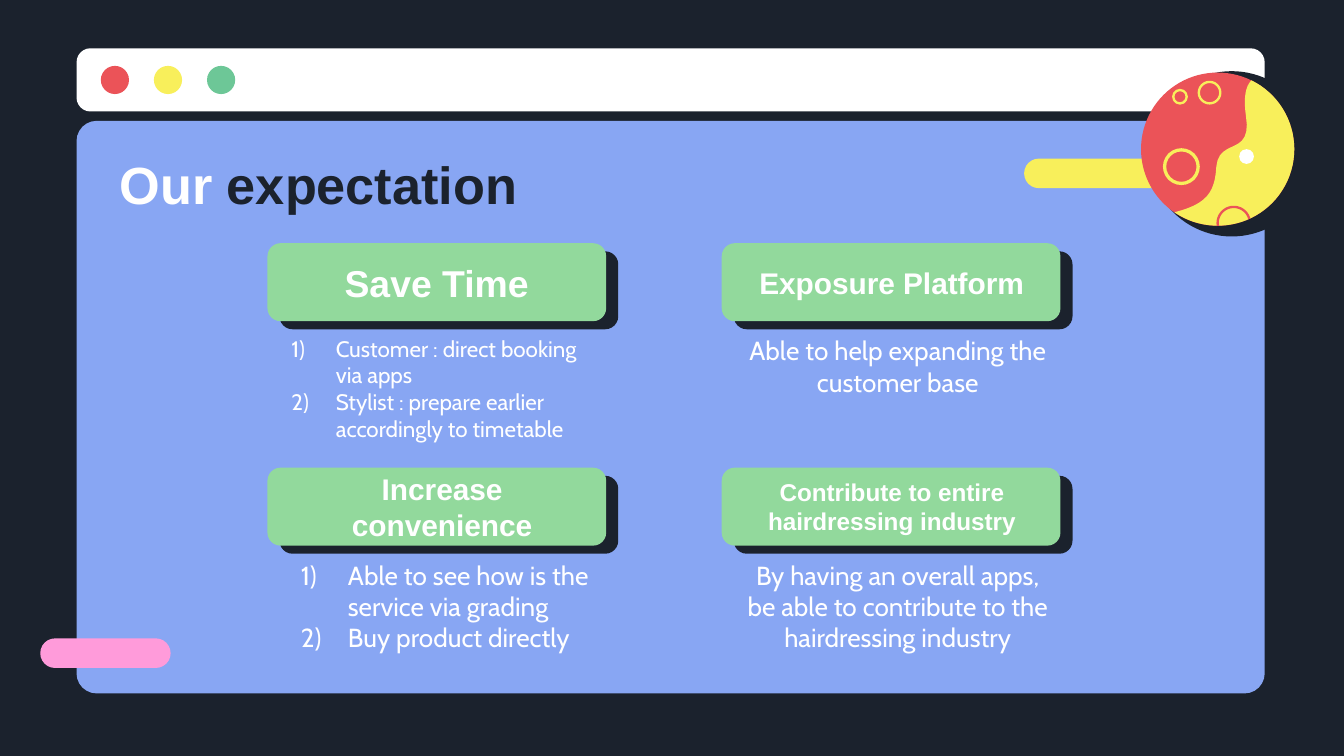
import math

import pptx
import pptx.dml.color
import pptx.enum.shapes
import pptx.enum.text
import pptx.oxml.ns
import pptx.util
from lxml import etree

Inches = pptx.util.Inches
Pt = pptx.util.Pt
SHAPE = pptx.enum.shapes.MSO_SHAPE
ALIGN = pptx.enum.text.PP_ALIGN
ANCHOR = pptx.enum.text.MSO_ANCHOR


class Theme:
    navy, white, blue, green = "1B222D", "FFFFFF", "88A6F3", "92D99C"
    red, yellow, mint, pink = "EB5358", "F8EF5B", "6DC797", "FF9BDA"
    heading_font, body_font = "Arial", "Cabin"
    title_size = 28


def color(code):
    return pptx.dml.color.RGBColor.from_string(code)


def add_block(kind, left, top, width, height, fill, corner=None):
    block = page.shapes.add_shape(
        kind, Inches(left), Inches(top), Inches(width), Inches(height))
    block.shadow.inherit = False
    block.fill.solid()
    block.fill.fore_color.rgb = color(fill)
    block.line.fill.background()
    if corner is not None:
        block.adjustments[0] = corner
    return block


deck = pptx.Presentation()
deck.slide_width = Inches(10)
deck.slide_height = deck.slide_width * 9 // 16
page = deck.slides.add_slide(deck.slide_layouts[5])
page.background.fill.solid()
page.background.fill.fore_color.rgb = color(Theme.navy)

# Browser window
add_block(SHAPE.ROUNDED_RECTANGLE, 0.57, 0.9, 8.84, 4.26, Theme.blue, 0.035)
add_block(SHAPE.ROUNDED_RECTANGLE, 0.57, 0.36, 8.84, 0.47, Theme.white, 0.22)
for index, fill in enumerate([Theme.red, Theme.yellow, Theme.mint]):
    add_block(SHAPE.OVAL, 0.75 + index * 0.395, 0.49, 0.21, 0.21, fill)

# Pills
add_block(SHAPE.ROUNDED_RECTANGLE, 7.62, 1.18, 1.08, 0.22, Theme.yellow, 0.5)
add_block(SHAPE.ROUNDED_RECTANGLE, 0.3, 4.75, 0.97, 0.22, Theme.pink, 0.5)

# Planet: shadow and disc
center_x, center_y, radius = 9.06, 1.11, 0.57
add_block(SHAPE.OVAL, 8.55, 0.53, 1.23, 1.23, Theme.navy)
add_block(SHAPE.OVAL, center_x - radius, center_y - radius,
          2 * radius, 2 * radius, Theme.red)

# Planet: yellow side, the rim clockwise and then a wavy edge of Bezier curves
outline = [(center_x + radius * math.cos(math.radians(angle)),
            center_y + radius * math.sin(math.radians(angle)))
           for angle in range(-64, 125, 4)]
wave = [
    ((8.74, 1.58), (8.97, 1.52), (9.04, 1.44), (9.05, 1.24)),
    ((9.05, 1.24), (9.07, 1.02), (9.32, 1.17), (9.27, 0.86)),
    ((9.27, 0.86), (9.25, 0.72), (9.27, 0.64), (9.31, 0.6)),
]
for curve in wave:
    for step in range(13):
        t = step / 12
        weights = [(1 - t) ** 3, 3 * t * (1 - t) ** 2, 3 * t * t * (1 - t), t ** 3]
        outline.append(tuple(sum(weight * point[axis]
                                 for weight, point in zip(weights, curve))
                             for axis in (0, 1)))

# Planet: crater cut by the rim
rim_crater = [(9.18 + 0.12 * math.cos(math.radians(angle)),
               1.66 + 0.12 * math.sin(math.radians(angle)))
              for angle in range(170, 346, 5)]

for points, closed in [(outline, True), (rim_crater, False)]:
    builder = page.shapes.build_freeform(
        Inches(points[0][0]), Inches(points[0][1]))
    builder.add_line_segments(
        [(Inches(x), Inches(y)) for x, y in points[1:]], close=closed)
    patch = builder.convert_to_shape()
    patch.shadow.inherit = False
    if closed:
        patch.fill.solid()
        patch.fill.fore_color.rgb = color(Theme.yellow)
        patch.line.fill.background()
    else:
        patch.fill.background()
        patch.line.color.rgb = color(Theme.red)
        patch.line.width = Pt(1.25)

# Planet: round craters and the white spot
for x, y, size, weight in [(9, 0.69, 0.16, 1.25), (8.79, 1.24, 0.25, 1.75),
                           (8.78, 0.72, 0.1, 1.25)]:
    crater = add_block(SHAPE.OVAL, x - size / 2, y - size / 2, size, size, Theme.red)
    crater.fill.background()
    crater.line.color.rgb = color(Theme.yellow)
    crater.line.width = Pt(weight)
add_block(SHAPE.OVAL, 9.22, 1.11, 0.11, 0.11, Theme.white)

# Title, brought in front of the window
title = page.shapes.title
page.shapes._spTree.append(title._element)
title.left, title.top = Inches(0.79), Inches(1.06)
title.width, title.height = Inches(4.21), Inches(0.62)
frame = title.text_frame
frame.auto_size = pptx.enum.text.MSO_AUTO_SIZE.NONE
frame.vertical_anchor = ANCHOR.MIDDLE
frame.margin_left = frame.margin_right = Inches(0.1)
para = frame.paragraphs[0]
para.alignment = ALIGN.LEFT
para.font.name = Theme.heading_font
para.font.size = Pt(Theme.title_size)
para.font.bold = True
for text, tone in [("Our ", Theme.white), ("expectation", Theme.navy)]:
    span = para.add_run()
    span.text = text
    span.font.color.rgb = color(tone)

# Cards: column, row, heading (text, left, width, size),
# body (lines, left, width, height, size, list hanging indent)
cards = [
    (0, 0, ("Save Time", 2.37, 1.76, 20),
     (["Customer : direct booking via apps",
       "Stylist : prepare earlier accordingly to timetable"],
      1.9, 2.52, 0.62, 12, 0.33)),
    (1, 0, ("Exposure Platform", 5.21, 2.85, 16),
     (["Able to help expanding the customer base"], 5.42, 2.52, 0.62, 14, None)),
    (0, 1, ("Increase convenience", 2.25, 2.08, 16),
     (["Able to see how is the service via grading", "Buy product directly"],
      1.99, 2.72, 0.62, 14, 0.35)),
    (1, 1, ("Contribute to entire hairdressing industry", 5.43, 2.41, 13),
     (["By having an overall apps, be able to contribute to the "
       "hairdressing industry"], 5.42, 2.52, 0.8, 14, None)),
]
card_height = 0.58
for column, row, heading, body in cards:
    card_left, card_top = 1.99 + column * 3.38, 1.81 + row * 1.67
    for offset_x, offset_y, fill in [(0.09, 0.06, Theme.navy), (0, 0, Theme.green)]:
        add_block(SHAPE.ROUNDED_RECTANGLE, card_left + offset_x,
                  card_top + offset_y, 2.52, card_height, fill, 0.167)

    heading_text, heading_left, heading_width, heading_size = heading
    lines, body_left, body_width, body_height, body_size, hanging = body
    for texts, left, top, width, height, size, font, indent in [
        ([heading_text], heading_left, card_top, heading_width, card_height,
         heading_size, Theme.heading_font, None),
        (lines, body_left, card_top + card_height, body_width, body_height,
         body_size, Theme.body_font, hanging),
    ]:
        is_heading = font == Theme.heading_font
        box = page.shapes.add_textbox(
            Inches(left), Inches(top), Inches(width), Inches(height))
        frame = box.text_frame
        frame.word_wrap = True
        frame.vertical_anchor = ANCHOR.MIDDLE if is_heading else ANCHOR.TOP
        frame.margin_left = frame.margin_right = Inches(0.1)
        frame.margin_top = frame.margin_bottom = Inches(0.1)
        frame.text = "\n".join(texts)
        for para in frame.paragraphs:
            para.alignment = ALIGN.LEFT if indent else ALIGN.CENTER
            if indent:
                properties = para._p.get_or_add_pPr()
                properties.set("marL", str(Inches(0.5)))
                properties.set("indent", str(-Inches(indent)))
                etree.SubElement(properties, pptx.oxml.ns.qn("a:buAutoNum"),
                                 type="arabicParenR")
            para.font.name = font
            para.font.size = Pt(size)
            para.font.bold = is_heading
            para.font.color.rgb = color(Theme.white)

deck.save("out.pptx")
